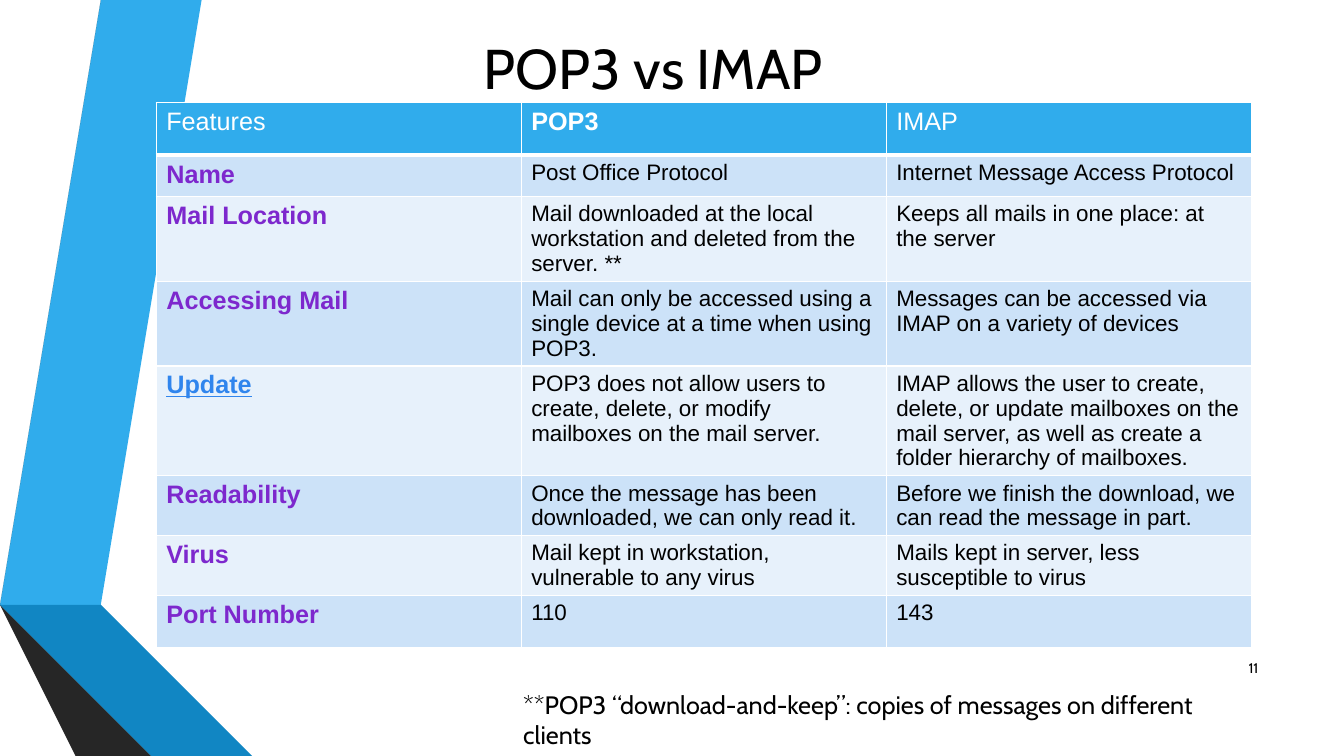
from lxml import etree
from pptx import Presentation
from pptx.dml.color import RGBColor
from pptx.enum.text import MSO_ANCHOR, PP_ALIGN
from pptx.oxml.ns import qn
from pptx.util import Inches, Pt

LEFT, CENTER, RIGHT = PP_ALIGN.LEFT, PP_ALIGN.CENTER, PP_ALIGN.RIGHT
TOP, MIDDLE = MSO_ANCHOR.TOP, MSO_ANCHOR.MIDDLE

BLACK = RGBColor(0x00, 0x00, 0x00)
WHITE = RGBColor(0xFF, 0xFF, 0xFF)
BLUE = RGBColor(0x30, 0xAC, 0xEC)
MID_BLUE = RGBColor(0x11, 0x86, 0xC3)
DEEP_BLUE = RGBColor(0x0B, 0x59, 0x82)
GRAY = RGBColor(0x59, 0x59, 0x59)
DARK_GRAY = RGBColor(0x3F, 0x3F, 0x3F)
DEEP_GRAY = RGBColor(0x26, 0x26, 0x26)
BAND_DARK = RGBColor(0xCC, 0xE2, 0xF8)
BAND_LIGHT = RGBColor(0xE7, 0xF1, 0xFB)
PURPLE = RGBColor(0x7D, 0x28, 0xCD)
LINK_BLUE = RGBColor(0x30, 0x85, 0xED)

RIBBONS = [
    (BLUE, [(0.5, 5.78), (0.77, 5.83), (1.73, 0), (1.45, 0)]),
    (GRAY, [(1.39, 0), (1.11, 0), (0.16, 5.73), (0.44, 5.77)]),
    (DEEP_GRAY, [(0.16, 5.73), (1.45, 7.5), (1.51, 7.5)]),
    (DEEP_BLUE, [(0.5, 5.79), (2.08, 7.5), (2.14, 7.5)]),
    (MID_BLUE, [(0.5, 5.78), (2.14, 7.5), (2.83, 7.5), (0.77, 5.83)]),
    (DARK_GRAY, [(2.02, 7.5), (0.48, 5.83), (0.43, 5.77), (0.16, 5.73), (1.51, 7.5)]),
]

ROWS = [
    ("Features", "POP3", "IMAP"),
    ("Name", "Post Office Protocol", "Internet Message Access Protocol"),
    ("Mail Location",
     "Mail downloaded at the local workstation and deleted from the server. **",
     "Keeps all mails in one place: at the server"),
    ("Accessing Mail",
     "Mail can only be accessed using a single device at a time when using POP3.",
     "Messages can be accessed via IMAP on a variety of devices"),
    ("Update",
     "POP3 does not allow users to create, delete, or modify mailboxes on the mail server.",
     "IMAP allows the user to create, delete, or update mailboxes on the mail server, "
     "as well as create a folder hierarchy of mailboxes."),
    ("Readability",
     "Once the message has been downloaded, we can only read it.",
     "Before we finish the download, we can read the message in part."),
    ("Virus",
     "Mail kept in workstation, vulnerable to any virus",
     "Mails kept in server, less susceptible to virus"),
    ("Port Number", "110", "143"),
]
ROW_HEIGHTS = [0.52, 0.41, 0.84, 0.84, 1.09, 0.59, 0.59, 0.52]
COLUMN_WIDTH = 3.62


def write_text(text_frame, text, font="Cabin", size=18, color=BLACK,
               bold=False, underline=False, align=LEFT):
    paragraph = text_frame.paragraphs[0]
    paragraph.alignment = align
    run = paragraph.add_run()
    run.text = text
    run.font.name = font
    run.font.size = Pt(size)
    run.font.color.rgb = color
    run.font.bold = bold
    run.font.underline = underline


def cell_format(row, column, text):
    """Return the text format that a table cell's position calls for."""
    if row == 0:
        return {"size": 18, "color": WHITE, "bold": column == 1}
    if column == 0:
        is_link = text == "Update"
        return {"size": 18, "color": LINK_BLUE if is_link else PURPLE,
                "bold": True, "underline": is_link}
    return {"size": 16}


def set_borders(cell, widths):
    """Draw white borders; widths maps a side (L, R, T, B) to points."""
    properties = cell._tc.get_or_add_tcPr()
    for index, side in enumerate("LRTB"):
        line = etree.Element(qn(f"a:ln{side}"), w=str(Pt(widths[side])))
        fill = etree.SubElement(line, qn("a:solidFill"))
        etree.SubElement(fill, qn("a:srgbClr"), val=str(WHITE))
        properties.insert(index, line)


class SlideBuilder:
    def __init__(self, presentation):
        self.slide = presentation.slides.add_slide(presentation.slide_layouts[5])
        self.shapes = self.slide.shapes

    def place_text(self, shape, text, anchor, **text_format):
        text_frame = shape.text_frame
        text_frame.word_wrap = True
        text_frame.vertical_anchor = anchor
        write_text(text_frame, text, **text_format)

    def title(self, text, left, top, width, height):
        title = self.shapes.title
        title.left, title.top = Inches(left), Inches(top)
        title.width, title.height = Inches(width), Inches(height)
        self.place_text(title, text, MIDDLE, size=40, align=CENTER)

    def text(self, text, left, top, width, height, anchor=TOP, **text_format):
        box = self.shapes.add_textbox(Inches(left), Inches(top),
                                      Inches(width), Inches(height))
        self.place_text(box, text, anchor, **text_format)

    def ribbon(self, color, points):
        builder = self.shapes.build_freeform(*points[0], scale=Inches(1))
        builder.add_line_segments(points[1:], close=True)
        shape = builder.convert_to_shape()
        shape.shadow.inherit = False
        shape.fill.solid()
        shape.fill.fore_color.rgb = color
        shape.line.fill.background()

    def table(self, rows, left, top, column_width, row_heights):
        column_count = len(rows[0])
        table = self.shapes.add_table(
            len(rows), column_count, Inches(left), Inches(top),
            Inches(column_width * column_count), Inches(sum(row_heights))).table
        for column in table.columns:
            column.width = Inches(column_width)
        for row_index, texts in enumerate(rows):
            table.rows[row_index].height = Inches(row_heights[row_index])
            band = BAND_DARK if row_index % 2 else BAND_LIGHT
            for column_index, text in enumerate(texts):
                cell = table.cell(row_index, column_index)
                cell.fill.solid()
                cell.fill.fore_color.rgb = band if row_index else BLUE
                set_borders(cell, {"L": 1, "R": 1,
                                   "T": 3 if row_index == 1 else 1,
                                   "B": 3 if row_index == 0 else 1})
                write_text(cell.text_frame, text, font="Arial",
                           **cell_format(row_index, column_index, text))


def main():
    presentation = Presentation()
    presentation.slide_width = Inches(13.33)
    presentation.slide_height = Inches(7.5)
    builder = SlideBuilder(presentation)

    # Folded ribbons on the left edge
    for color, points in RIBBONS:
        builder.ribbon(color, points)

    # Title and comparison table
    builder.title("POP3 vs IMAP", 2.23, 0.23, 8.5, 0.87)
    builder.table(ROWS, 1.55, 1.02, COLUMN_WIDTH, ROW_HEIGHTS)

    # Footnote and slide number
    builder.text("**POP3 “download-and-keep”: copies of messages on different clients",
                 5.09, 6.79, 7.51, 0.4)
    builder.text("11", 11.98, 6.43, 0.6, 0.4, anchor=MIDDLE, size=10, align=RIGHT)

    presentation.save("out.pptx")


if __name__ == "__main__":
    main()
